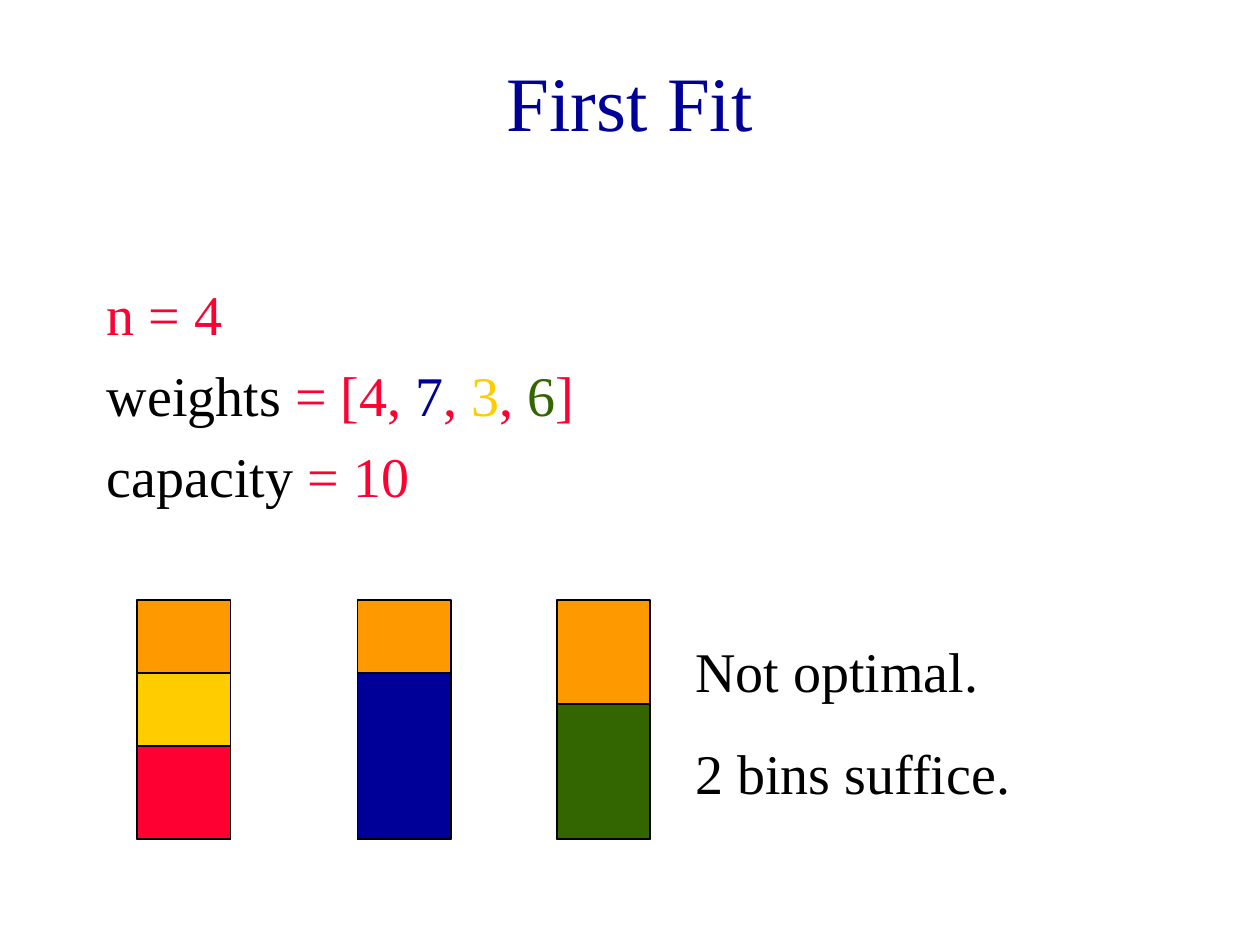
from pptx import Presentation
from pptx.dml.color import RGBColor
from pptx.enum.shapes import MSO_SHAPE
from pptx.enum.text import MSO_ANCHOR, MSO_AUTO_SIZE, PP_ALIGN
from pptx.oxml.ns import qn
from pptx.util import Cm, Pt
from lxml import etree

RECTANGLE = MSO_SHAPE.RECTANGLE
MIDDLE, TOP = MSO_ANCHOR.MIDDLE, MSO_ANCHOR.TOP
CENTER, LEFT = PP_ALIGN.CENTER, PP_ALIGN.LEFT
FIXED = MSO_AUTO_SIZE.NONE
TITLE_AND_BODY = 1

COLORS = {
    "blue": "000099", "red": "FF0033", "black": "000000",
    "yellow": "FFCC00", "green": "336600", "orange": "FF9900",
}
PARAMETERS = [
    [("n = 4", "red")],
    [("weights ", "black"), ("= [4, ", "red"), ("7", "blue"), (", ", "red"),
     ("3", "yellow"), (", ", "red"), ("6", "green"), ("]", "red")],
    [("capacity ", "black"), ("= 10", "red")],
]
VERDICT = [[("Not optimal.", "black")], [("2 bins suffice.", "black")]]
BINS = [
    (2.77, [(1.88, "red"), (1.47, "yellow")]),
    (7.21, [(3.35, "blue")]),
    (11.23, [(2.72, "green")]),
]
BIN_TOP, BIN_WIDTH, BIN_HEIGHT = 12.09, 1.88, 4.83


class SlideWriter:
    """Holds the text style and the current slide, and adds elements to it."""

    def __init__(self, page, font="Times New Roman"):
        self.page = page
        self.font = font

    def color(self, name):
        return RGBColor.from_string(COLORS[name])

    def place(self, box, left, top, width, height):
        box.left, box.top = Cm(left), Cm(top)
        box.width, box.height = Cm(width), Cm(height)

    def style(self, span, size, color):
        span.font.name = self.font
        span.font.size = Pt(size)
        span.font.color.rgb = self.color(color)

    def title(self, text, area):
        box = self.page.shapes.title
        self.place(box, *area)
        frame = box.text_frame
        frame.text = text
        frame.auto_size = FIXED
        frame.vertical_anchor = MIDDLE
        para = frame.paragraphs[0]
        para.alignment = CENTER
        self.style(para.runs[0], 44, "blue")

    def lines(self, frame, rows, gap):
        frame.word_wrap = True
        frame.auto_size = FIXED
        frame.vertical_anchor = TOP
        for index, row in enumerate(rows):
            para = frame.add_paragraph() if index else frame.paragraphs[0]
            para.alignment = LEFT
            para.space_before = Pt(gap)
            for text, color in row:
                span = para.add_run()
                span.text = text
                self.style(span, 32, color)

    def body(self, rows, area):
        box = self.page.placeholders[1]
        self.place(box, *area)
        self.lines(box.text_frame, rows, 8)
        for para in box.text_frame.paragraphs:
            properties = para._p.get_or_add_pPr()
            properties.set("marL", str(Cm(0.95)))
            properties.set("indent", str(Cm(-0.95)))
            etree.SubElement(properties, qn("a:buNone"))

    def note(self, rows, area):
        box = self.page.shapes.add_textbox(*map(Cm, area))
        self.lines(box.text_frame, rows, 20)

    def block(self, left, top, height, color):
        box = self.page.shapes.add_shape(
            RECTANGLE, Cm(left), Cm(top), Cm(BIN_WIDTH), Cm(height))
        box.shadow.inherit = False
        box.fill.solid()
        box.fill.fore_color.rgb = self.color(color)
        box.line.color.rgb = self.color("black")
        box.line.width = Pt(1)

    def bin(self, left, items):
        self.block(left, BIN_TOP, BIN_HEIGHT, "orange")
        top = BIN_TOP + BIN_HEIGHT
        for height, color in items:
            top -= height
            self.block(left, top, height, color)


def main():
    deck = Presentation()
    deck.slide_width, deck.slide_height = Cm(25.4), Cm(19.05)
    page = deck.slides.add_slide(deck.slide_layouts[TITLE_AND_BODY])
    writer = SlideWriter(page)
    writer.title("First Fit", (1.9, 0.43, 21.6, 3.18))
    writer.body(PARAMETERS, (1.9, 5.5, 21.6, 5.3))
    for left, items in BINS:
        writer.bin(left, items)
    writer.note(VERDICT, (13.77, 12.7, 11, 3.68))
    deck.save("out.pptx")


if __name__ == "__main__":
    main()
